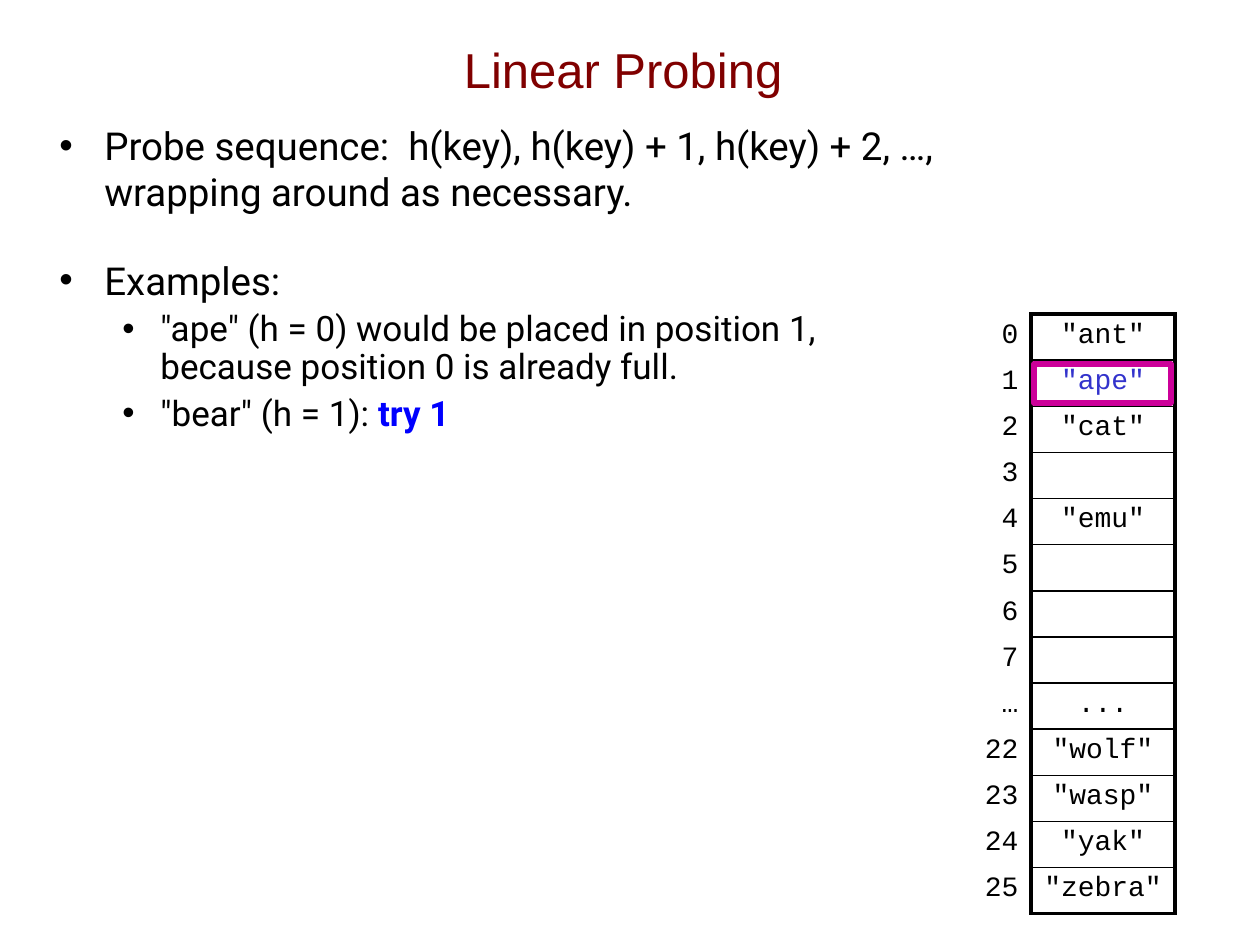
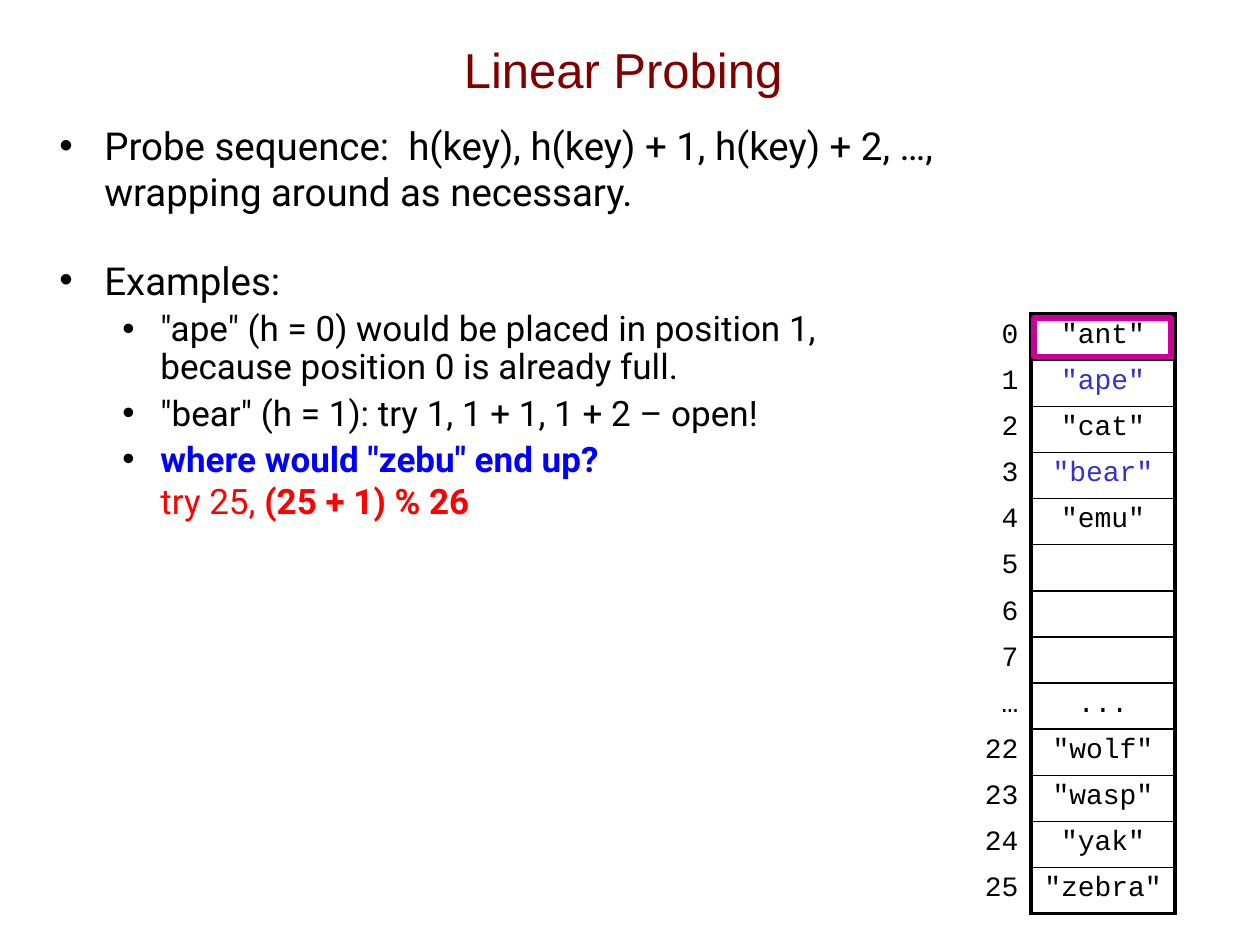
"""Builds two slides that step through linear probing in a hash table."""
from dataclasses import dataclass

from lxml.etree import SubElement
from pptx import Presentation
from pptx.dml.color import RGBColor
from pptx.enum.shapes import MSO_SHAPE
from pptx.enum.text import MSO_ANCHOR, PP_ALIGN
from pptx.oxml import parse_xml
from pptx.oxml.ns import nsdecls, qn
from pptx.slide import Slide
from pptx.table import _Cell as Cell
from pptx.text.text import TextFrame
from pptx.util import Emu, Pt

PX = 914400 / 126
BLACK, MAROON, BLUE, RED = "000000", "800000", "0000FF", "FF0000"
INDIGO, MAGENTA = "3333CC", "CC0099"
TITLE_FONT, BODY_FONT, CODE_FONT = "Arial", "Roboto", "Courier New"
TABLE_LEFT, TABLE_TOP, TABLE_HEIGHT = 886, 314, 600
COLUMN_WIDTHS = (145, 144)
THICK, THIN = 2.25, 1
POSITIONS = ("0", "1", "2", "3", "4", "5", "6", "7", "…", "22", "23", "24", "25")
STORED = {"0": '"ant"', "2": '"cat"', "4": '"emu"', "…": "...",
          "22": '"wolf"', "23": '"wasp"', "24": '"yak"', "25": '"zebra"'}


@dataclass(frozen=True)
class Piece:
    """Text with one look; a newline breaks the line."""
    text: str
    color: str = BLACK
    bold: bool = False


@dataclass(frozen=True)
class Level:
    """Size and indents of one bullet level."""
    size: int
    margin: int
    hanging: int


@dataclass(frozen=True)
class Bullet:
    """One bulleted paragraph."""
    pieces: tuple[Piece, ...]
    level: int = 1
    before: int = 5
    spacing: float = 0.9


@dataclass(frozen=True)
class Step:
    """One slide of the walkthrough."""
    bullets: tuple[Bullet, ...]
    inserted: dict[str, str]
    probed_row: int


LEVELS = (Level(22, 45, 45), Level(20, 101, 38))
SHARED_BULLETS = (
    Bullet((Piece("Probe sequence:  h(key), h(key) + 1, h(key) + 2, …, \n"
                  "wrapping around as necessary."),), 0, 0, 1.0),
    Bullet((Piece("Examples:"),), 0, 24, 1.0),
    Bullet((Piece('"ape" (h = 0) would be placed in position 1, \n'
                  "because position 0 is already full."),)),
)
STEPS = (
    Step((Bullet((Piece('"bear" (h = 1): '), Piece("try 1", BLUE, True))),),
         {"1": '"ape"'}, 1),
    Step((Bullet((Piece('"bear" (h = 1): try 1, 1 + 1, 1 + 2 – open!'),)),
          Bullet((Piece('where would "zebu" end up? \n', BLUE, True),
                  Piece("try 25,", RED),
                  Piece(" (25 + 1) % 26", RED, True)), before=2, spacing=1.0)),
         {"1": '"ape"', "3": '"bear"'}, 0),
)


def px(length: int) -> Emu:
    """Turn pixels into EMU."""
    return Emu(round(length * PX))


def rgb(color: str) -> RGBColor:
    """Turn a hex string into a colour."""
    return RGBColor.from_string(color)


def style_font(font, name: str, size: int, color: str) -> None:
    """Set typeface, size and colour."""
    font.name, font.size = name, Pt(size)
    font.color.rgb = rgb(color)


def add_title(slide: Slide) -> None:
    """Place and format the title placeholder."""
    title = slide.shapes.title
    title.left, title.top, title.width, title.height = map(px, (81, 10, 1084, 117))
    title.text_frame.text = "Linear Probing"
    title.text_frame.vertical_anchor = MSO_ANCHOR.MIDDLE
    paragraph = title.text_frame.paragraphs[0]
    paragraph.alignment = PP_ALIGN.CENTER
    style_font(paragraph.font, TITLE_FONT, 28, MAROON)


def add_bullet(frame: TextFrame, bullet: Bullet, first: bool) -> None:
    """Write one bulleted paragraph."""
    paragraph = frame.paragraphs[0] if first else frame.add_paragraph()
    level = LEVELS[bullet.level]
    paragraph.level = bullet.level
    paragraph.line_spacing = bullet.spacing
    paragraph.space_before = Pt(bullet.before)
    properties = paragraph._p.get_or_add_pPr()
    properties.set("marL", str(px(level.margin)))
    properties.set("indent", str(-px(level.hanging)))
    SubElement(SubElement(properties, qn("a:buClr")), qn("a:srgbClr")).set("val", BLACK)
    SubElement(properties, qn("a:buFont")).set("typeface", TITLE_FONT)
    SubElement(properties, qn("a:buChar")).set("char", "•")
    style_font(paragraph.font, BODY_FONT, level.size, BLACK)
    for piece in bullet.pieces:
        for index, line in enumerate(piece.text.split("\n")):
            if index:
                paragraph.add_line_break()
            if line:
                run = paragraph.add_run()
                run.text = line
                if piece.color != BLACK:
                    run.font.color.rgb = rgb(piece.color)
                if piece.bold:
                    run.font.bold = True


def add_body(slide: Slide, bullets: tuple[Bullet, ...]) -> None:
    """Add the bulleted text."""
    frame = slide.shapes.add_textbox(*map(px, (47, 116, 1166, 774))).text_frame
    frame.word_wrap = True
    for index, bullet in enumerate(bullets):
        add_bullet(frame, bullet, index == 0)


def set_borders(cell: Cell, borders: dict[str, float]) -> None:
    """Draw the given sides, leaving the others empty."""
    properties = cell._tc.get_or_add_tcPr()
    for index, side in enumerate("LRTB"):
        width = borders.get(side, 0)
        paint = f'<a:solidFill><a:srgbClr val="{BLACK}"/></a:solidFill>' if width else "<a:noFill/>"
        properties.insert(index, parse_xml(
            f'<a:ln{side} {nsdecls("a")} w="{Pt(width)}">{paint}</a:ln{side}>'))


def fill_cell(cell: Cell, text: str, alignment: PP_ALIGN, color: str,
              borders: dict[str, float]) -> None:
    """Write and format one table cell."""
    cell.margin_top, cell.margin_bottom = px(6), 0
    cell.text = text
    cell.fill.background()
    paragraph = cell.text_frame.paragraphs[0]
    paragraph.alignment = alignment
    style_font(paragraph.font, CODE_FONT, 16, color)
    set_borders(cell, borders)


def add_hash_table(slide: Slide, inserted: dict[str, str]) -> None:
    """Add the positions and the stored words."""
    rows = len(POSITIONS)
    table = slide.shapes.add_table(rows, 2, px(TABLE_LEFT), px(TABLE_TOP),
                                   px(sum(COLUMN_WIDTHS)), px(TABLE_HEIGHT)).table
    table.first_row = table.horz_banding = False
    for column, width in zip(table.columns, COLUMN_WIDTHS):
        column.width = px(width)
    words = STORED | inserted
    for index, position in enumerate(POSITIONS):
        fill_cell(table.cell(index, 0), position, PP_ALIGN.RIGHT, BLACK, {"R": THICK})
        borders = {"L": THICK, "R": THICK,
                   "T": THICK if index == 0 else THIN,
                   "B": THICK if index == rows - 1 else THIN}
        fill_cell(table.cell(index, 1), words.get(position, ""), PP_ALIGN.CENTER,
                  INDIGO if position in inserted else BLACK, borders)


def add_probe_frame(slide: Slide, row: int) -> None:
    """Frame the row that is being probed."""
    top = TABLE_TOP + 4 + round(row * TABLE_HEIGHT / len(POSITIONS))
    frame = slide.shapes.add_shape(MSO_SHAPE.RECTANGLE, *map(px, (1034, top, 137, 39)))
    frame.shadow.inherit = False
    frame.fill.background()
    frame.line.color.rgb = rgb(MAGENTA)
    frame.line.width = Pt(3)


def main() -> None:
    """Build and save the presentation."""
    presentation = Presentation()
    presentation.slide_width, presentation.slide_height = px(1260), px(945)
    title_only = presentation.slide_layouts[5]
    for step in STEPS:
        slide = presentation.slides.add_slide(title_only)
        add_title(slide)
        add_body(slide, SHARED_BULLETS + step.bullets)
        add_hash_table(slide, step.inserted)
        add_probe_frame(slide, step.probed_row)
    presentation.save("out.pptx")


if __name__ == "__main__":
    main()
